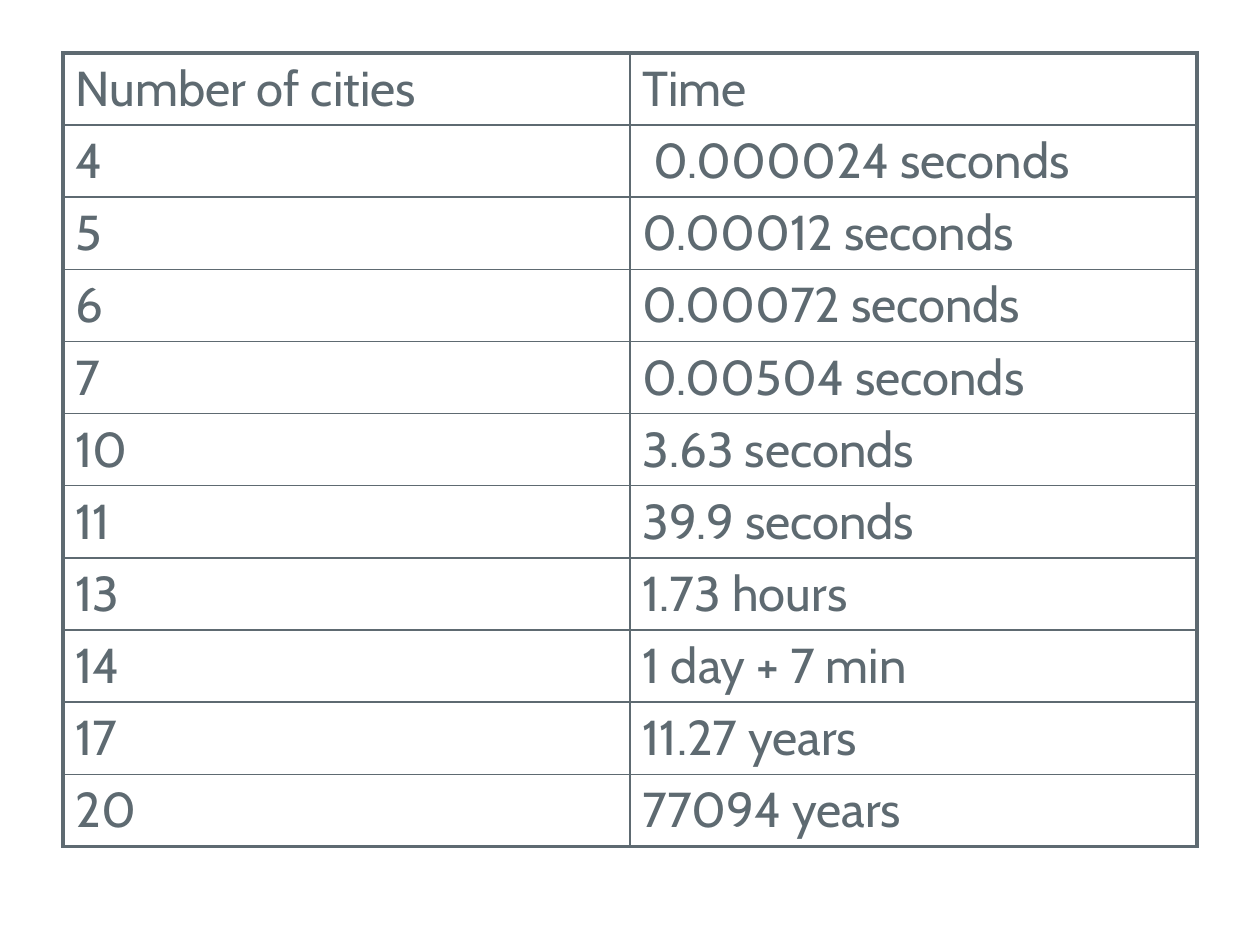
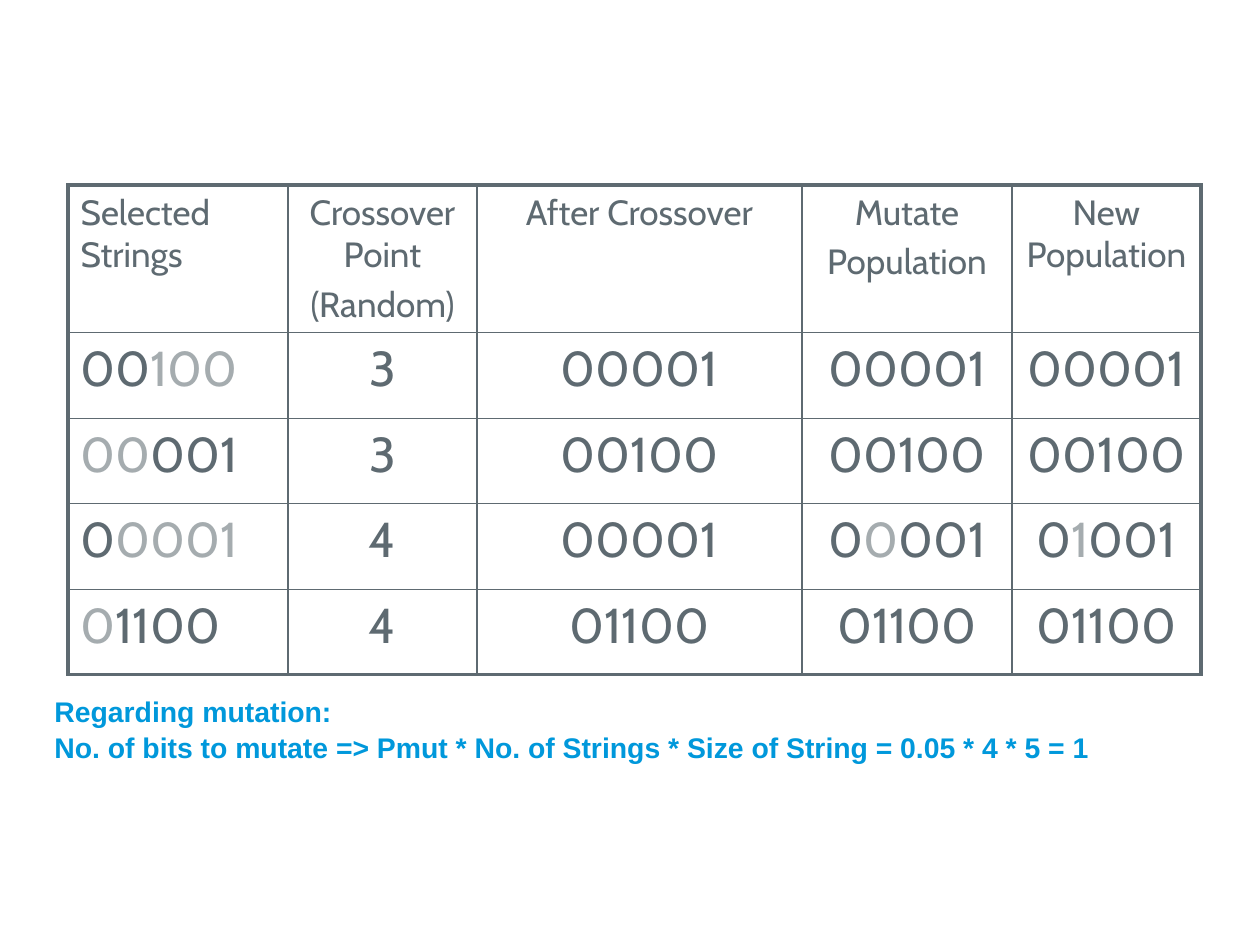
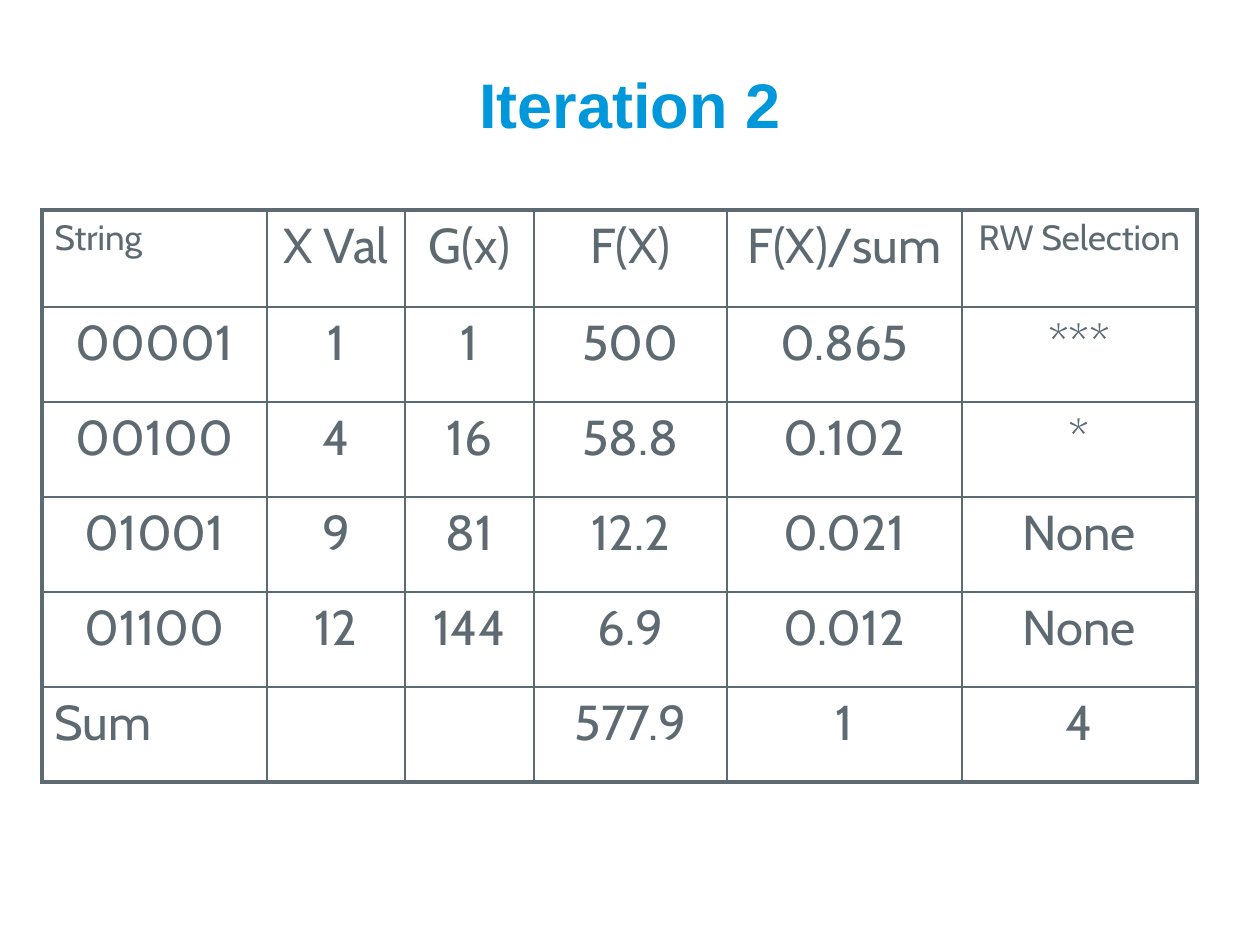
import dataclasses

import lxml.etree
import pptx
import pptx.dml.color
import pptx.enum.text
import pptx.oxml.ns
import pptx.util

ALIGN = pptx.enum.text.PP_ALIGN
ANCHOR = pptx.enum.text.MSO_ANCHOR


@dataclasses.dataclass(frozen=True)
class Theme:
    ink: str = "5E6A71"
    muted: str = "A5ACAF"
    accent: str = "0098DB"
    table_font: str = "Cabin"
    title_font: str = "Arial"
    title_size: float = 36
    note_size: float = 16.2
    cell_size: float = 28
    small_size: float = 20
    outer_line: float = 2.25
    inner_line: float = 1


THEME = Theme()

CITY_TIMES = [
    ("Number of cities", "Time"),
    ("4", " 0.000024 seconds"),
    ("5", "0.00012 seconds"),
    ("6", "0.00072 seconds"),
    ("7", "0.00504 seconds"),
    ("10", "3.63 seconds"),
    ("11", "39.9 seconds"),
    ("13", "1.73 hours"),
    ("14", "1 day + 7 min"),
    ("17", "11.27 years"),
    ("20", "77094 years"),
]

# Bits between bars are muted.
CROSSOVER = [
    ("Selected Strings", "Crossover Point\n(Random)", "After Crossover",
     "Mutate\nPopulation", "New Population"),
    ("00|100|", "3", "00001", "00001", "00001"),
    ("|00|001", "3", "00100", "00100", "00100"),
    ("0|0001|", "4", "00001", "0|0|001", "0|1|001"),
    ("|0|1100", "4", "01100", "01100", "01100"),
]

FITNESS = [
    ("String", "X Val", "G(x)", "F(X)", "F(X)/sum", "RW Selection"),
    ("00001", "1", "1", "500", "0.865", "***"),
    ("00100", "4", "16", "58.8", "0.102", "*"),
    ("01001", "9", "81", "12.2", "0.021", "None"),
    ("01100", "12", "144", "6.9", "0.012", "None"),
    ("Sum", "", "", "577.9", "1", "4"),
]


def px(n):
    """Turn pixels, 126 to the inch, into EMU."""
    return pptx.util.Emu(round(n * 914400 / 126))


def style_font(font, name, size, color, bold=False):
    font.name = name
    font.size = pptx.util.Pt(size)
    font.bold = bold
    font.color.rgb = pptx.dml.color.RGBColor.from_string(color)


def set_borders(cell, widths):
    """Draw the left, right, top and bottom borders, with widths in points."""
    tc_pr = cell._tc.get_or_add_tcPr()
    qn = pptx.oxml.ns.qn
    for i, (side, width) in enumerate(zip("LRTB", widths)):
        ln = lxml.etree.Element(qn(f"a:ln{side}"), w=str(pptx.util.Pt(width)))
        fill = lxml.etree.SubElement(ln, qn("a:solidFill"))
        lxml.etree.SubElement(fill, qn("a:srgbClr"), val=THEME.ink)
        tc_pr.insert(i, ln)


def fill_cell(cell, text, size, align):
    tf = cell.text_frame
    tf.text = text.replace("|", "")
    for i, p in enumerate(tf.paragraphs):
        p.alignment = align
        if i:
            p.space_before = pptx.util.Pt(size * 0.2)
        if "|" in text:
            p.text = ""
            for j, bits in enumerate(text.split("|")):
                if bits:
                    r = p.add_run()
                    r.text = bits
                    style_font(r.font, THEME.table_font, size,
                               THEME.muted if j % 2 else THEME.ink)
        else:
            for r in p.runs:
                style_font(r.font, THEME.table_font, size, THEME.ink)


def add_grid(s, left, top, widths, heights, data, is_left, is_small):
    """Add a framed table; is_left and is_small take a row and a column."""
    n_rows, n_cols = len(heights), len(widths)
    table = s.shapes.add_table(n_rows, n_cols, px(left), px(top),
                               px(sum(widths)), px(sum(heights))).table
    table.first_row = table.horz_banding = False
    for column, width in zip(table.columns, widths):
        column.width = px(width)
    for row, height in zip(table.rows, heights):
        row.height = px(height)
    for r, texts in enumerate(data):
        for c, text in enumerate(texts):
            cell = table.cell(r, c)
            cell.fill.background()
            edges = (c == 0, c == n_cols - 1, r == 0, r == n_rows - 1)
            set_borders(cell, [THEME.outer_line if edge else THEME.inner_line
                               for edge in edges])
            fill_cell(cell, text,
                      THEME.small_size if is_small(r, c) else THEME.cell_size,
                      ALIGN.LEFT if is_left(r, c) else ALIGN.CENTER)


def add_heading(s, box, text, size, align, anchor, line_spacing=1.0):
    tf = s.shapes.add_textbox(*map(px, box)).text_frame
    tf.word_wrap = True
    tf.vertical_anchor = anchor
    tf.text = text
    for p in tf.paragraphs:
        p.alignment = align
        p.line_spacing = line_spacing
        for r in p.runs:
            style_font(r.font, THEME.title_font, size, THEME.accent, bold=True)


def city_times_slide(s):
    add_grid(s, 63, 53, [567] * 2, [72] * len(CITY_TIMES), CITY_TIMES,
             is_left=lambda r, c: True, is_small=lambda r, c: False)


def crossover_slide(s):
    add_grid(s, 68, 185, [220, 189, 325, 210, 189], [147, 86, 85, 86, 85],
             CROSSOVER, is_left=lambda r, c: c == 0,
             is_small=lambda r, c: r == 0)
    add_heading(s, (42, 687, 1187, 181),
                "Regarding mutation:\nNo. of bits to mutate => Pmut * "
                "No. of Strings * Size of String = 0.05 * 4 * 5 = 1",
                THEME.note_size, ALIGN.LEFT, ANCHOR.TOP, line_spacing=1.04)


def iteration_slide(s):
    add_heading(s, (63, 53, 1134, 94), "Iteration 2", THEME.title_size,
                ALIGN.CENTER, ANCHOR.BOTTOM)
    add_grid(s, 42, 210, [225, 138, 129, 193, 235, 235], [97] + [95] * 5,
             FITNESS, is_left=lambda r, c: c == 0 and r in (0, 5),
             is_small=lambda r, c: r == 0 and c in (0, 5))


def main():
    prs = pptx.Presentation()
    prs.slide_width, prs.slide_height = px(1260), px(945)
    for build in (city_times_slide, crossover_slide, iteration_slide):
        build(prs.slides.add_slide(prs.slide_layouts[6]))
    prs.save("out.pptx")


if __name__ == "__main__":
    main()
